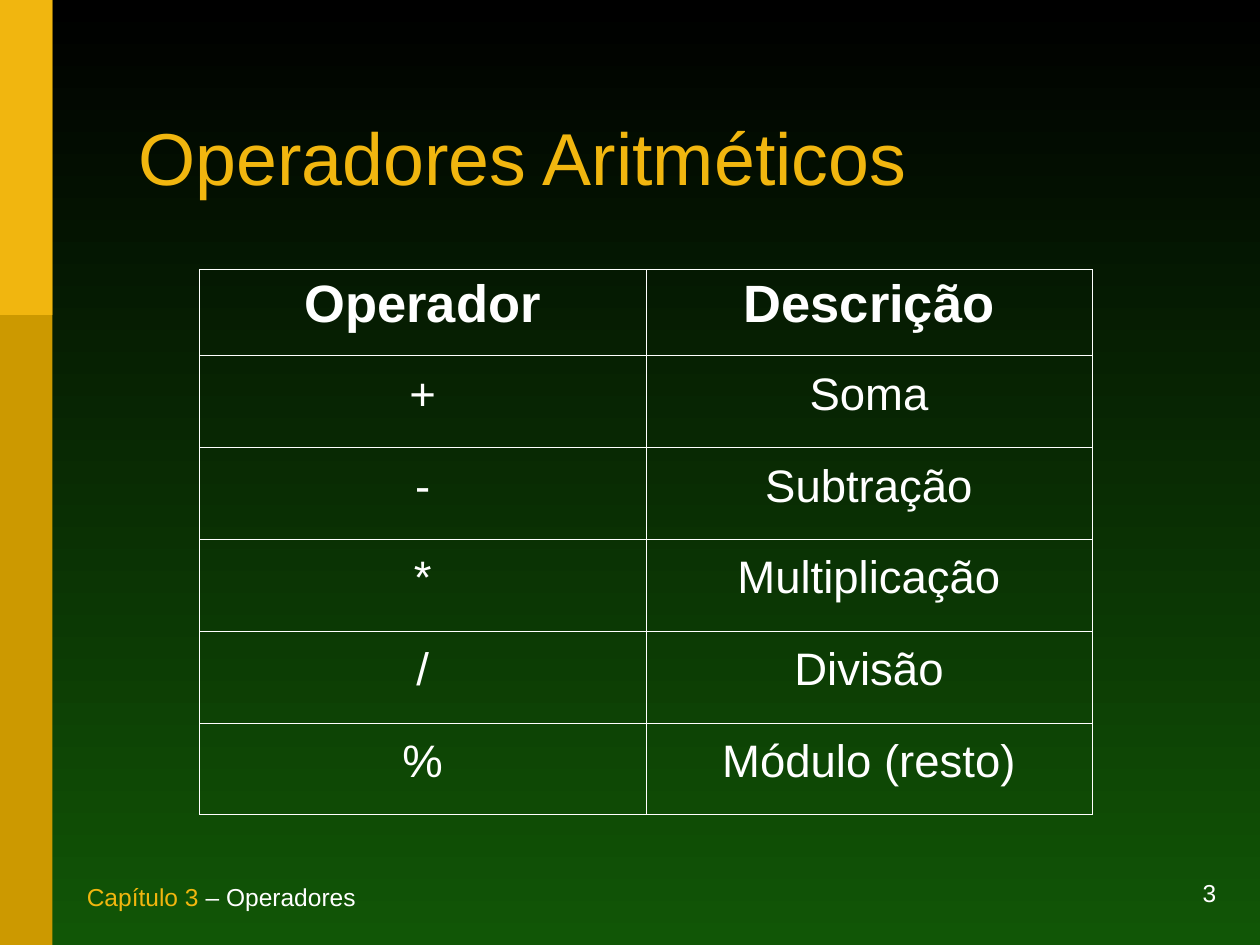
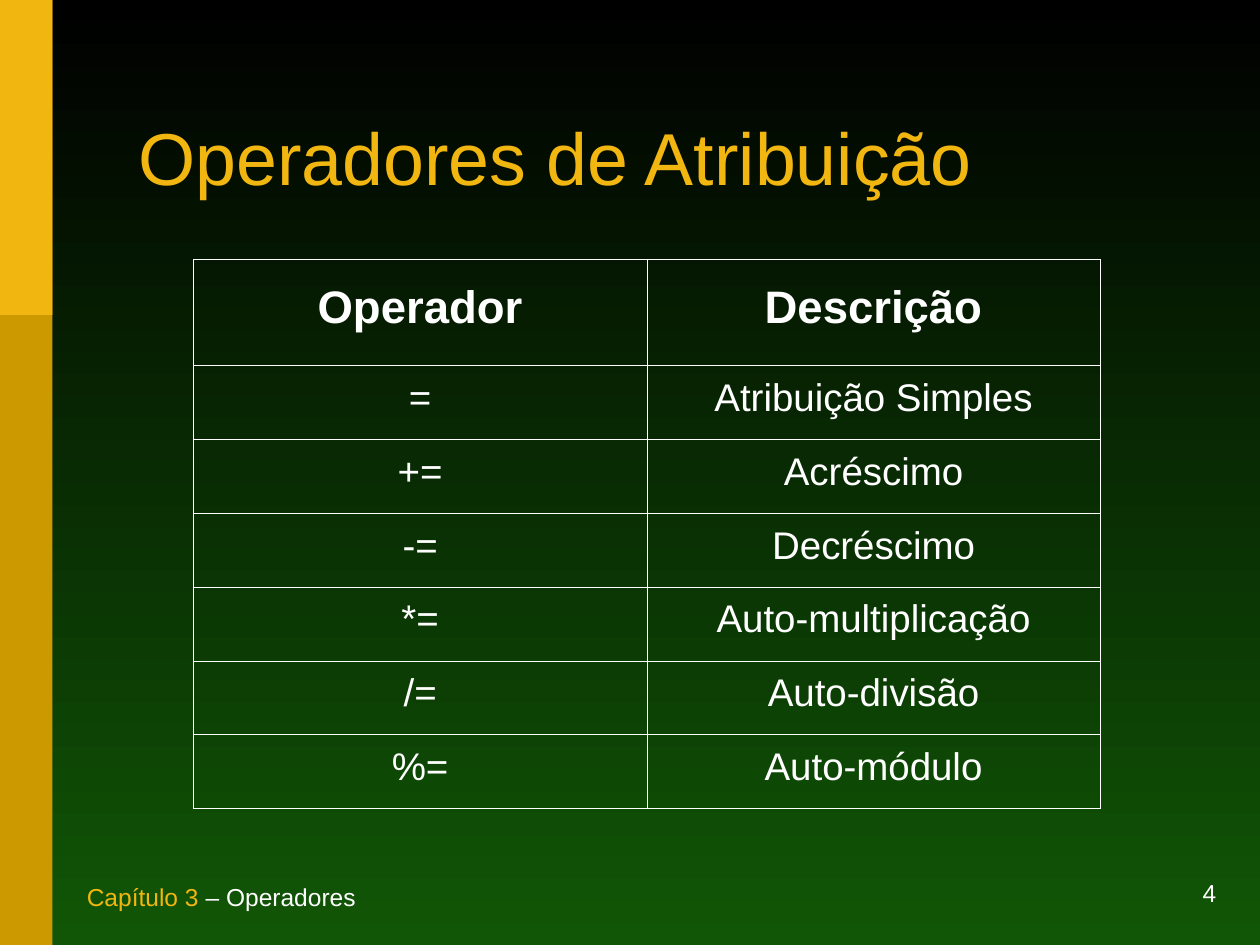
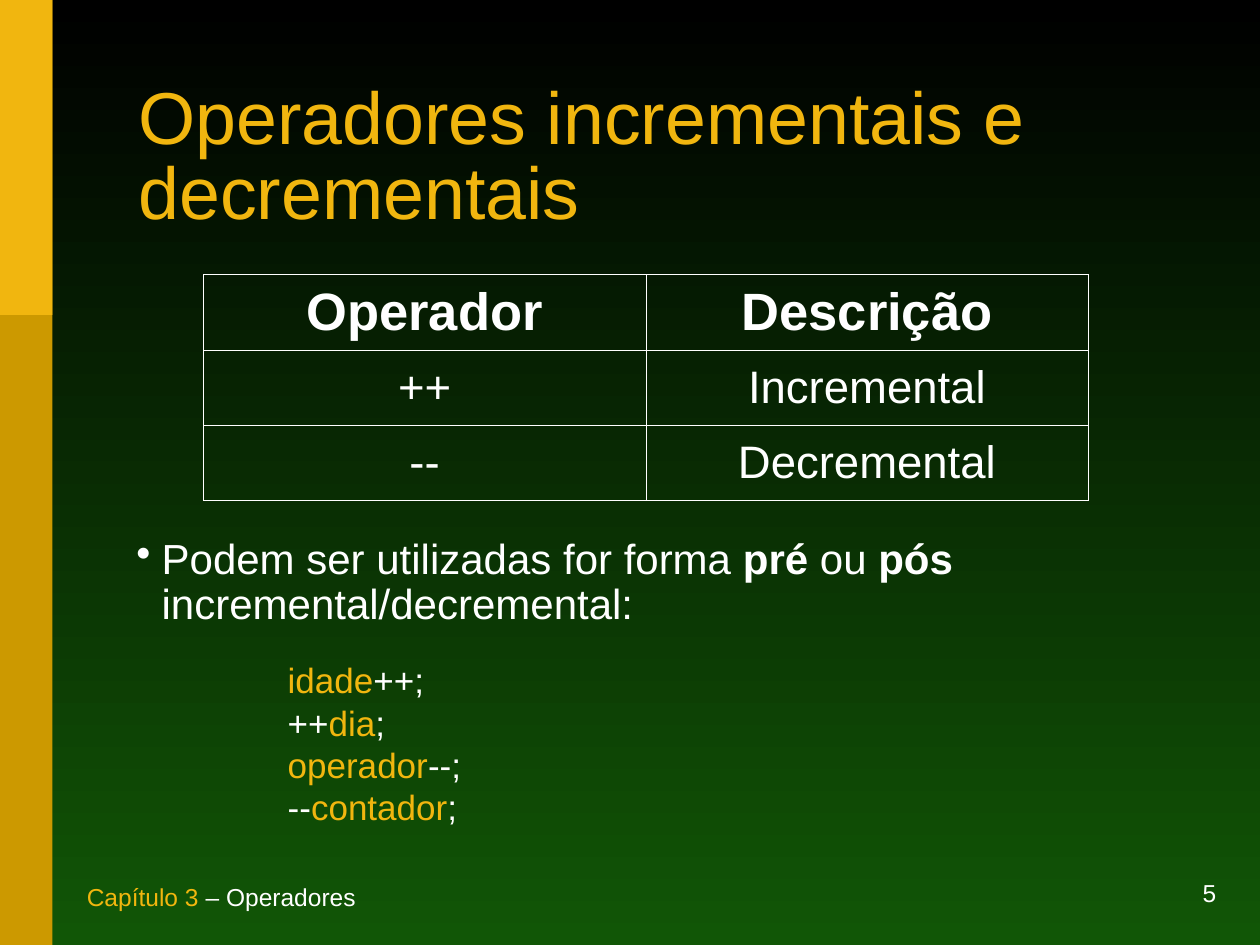
from dataclasses import dataclass
from typing import Any

from lxml import etree
from pptx import Presentation
from pptx import util as u
from pptx.dml import color
from pptx.enum import shapes, text
from pptx.oxml import ns

FONT = "Arial"
GOLD, DARK, WHITE = "F1B60F", "CC9900", "FFFFFF"
BLACK, GREEN = "000000", "115606"
WIDE, HIGH = 25.4, 19.05
BAND = 1.06
LEFT, RIGHT = text.PP_ALIGN.LEFT, text.PP_ALIGN.RIGHT
MID = text.PP_ALIGN.CENTER


@dataclass
class Run:
    text: str
    tint: str = WHITE
    bold: bool = False


@dataclass
class Para:
    runs: list[Run]
    size: float
    align: Any = LEFT
    line: float = 1.0
    above: float = 0
    indent: float = 0
    bullet: bool = False


@dataclass
class Box:
    left: float
    top: float
    width: float
    height: float

    def sides(self) -> list[u.Length]:
        return [u.Cm(n) for n in (self.left, self.top, self.width, self.height)]


@dataclass
class Grid:
    left: float
    top: float
    col: float
    head: float
    row: float
    sizes: tuple[int, int]
    line: float
    inset: float
    rows: list[tuple[str, str]]


@dataclass
class Page:
    title: str
    grid: Grid
    place: Box


TITLE = Box(2.54, 1.7, 20.96, 3.18)
FOOT = Box(1.5, 17.86, 11, 0.64)
NUMBER = Box(18.42, 17.78, 6.35, 0.64)
BODY = Box(2.5, 10.72, 20.92, 6.2)
HEAD = ("Operador", "Descrição")

PAGES = [
    Page("Operadores Aritméticos",
         Grid(4.02, 5.43, 9, 1.74, 1.85, (30, 26), 0.58, 0.1, [
             ("+", "Soma"), ("-", "Subtração"), ("*", "Multiplicação"),
             ("/", "Divisão"), ("%", "Módulo (resto)")]), TITLE),
    Page("Operadores de Atribuição",
         Grid(3.9, 5.23, 9.14, 2.13, 1.49, (26, 22), 0.71, 0.1, [
             ("=", "Atribuição Simples"), ("+=", "Acréscimo"),
             ("-=", "Decréscimo"), ("*=", "Auto-multiplicação"),
             ("/=", "Auto-divisão"), ("%=", "Auto-módulo")]), TITLE),
    Page("Operadores incrementais e decrementais",
         Grid(4.1, 5.53, 8.92, 1.46, 1.51, (30, 26), 1.0, 0.25, [
             ("++", "Incremental"), ("--", "Decremental")]),
         Box(2.54, 1.57, 20.88, 3.28)),
]

NOTE = [Run("Podem ser utilizadas for forma "), Run("pré", bold=True),
        Run(" ou "), Run("pós ", bold=True), Run("incremental/decremental:")]
CODE = [("", "idade", "++;"), ("++", "dia", ";"),
        ("", "operador", "--;"), ("--", "contador", ";")]


def rgb(tint: str) -> color.RGBColor:
    return color.RGBColor.from_string(tint)


def put(item: Any, **vals: Any) -> None:
    """Set each named value on the item."""
    for name, val in vals.items():
        setattr(item, name, val)


def mark(par: Any, indent: float, bullet: bool) -> None:
    """Give a paragraph its left indent and, if asked, a hanging bullet."""
    props = par._p.get_or_add_pPr()
    props.set("marL", str(u.Cm(indent)))
    props.set("indent", str(-u.Cm(indent) if bullet else 0))
    if bullet:
        etree.SubElement(props, ns.qn("a:buChar")).set("char", "•")


def write(frame: Any, paras: list[Para]) -> None:
    for i, para in enumerate(paras):
        par = frame.add_paragraph() if i else frame.paragraphs[0]
        if para.indent:
            mark(par, para.indent, para.bullet)
        put(par, alignment=para.align, line_spacing=para.line,
            space_before=u.Pt(para.above))
        for part in para.runs:
            run = par.add_run()
            run.text = part.text
            put(run.font, name=FONT, size=u.Pt(para.size), bold=part.bold)
            run.font.color.rgb = rgb(part.tint)


def label(slide: Any, box: Box, paras: list[Para], anchor: Any) -> None:
    frame = slide.shapes.add_textbox(*box.sides()).text_frame
    put(frame, word_wrap=True, vertical_anchor=anchor)
    write(frame, paras)


def band(slide: Any, height: float, tint: str) -> None:
    bar = slide.shapes.add_shape(shapes.MSO_SHAPE.RECTANGLE,
                                 *Box(0, 0, BAND, height).sides())
    bar.shadow.inherit = False
    bar.fill.solid()
    bar.fill.fore_color.rgb = rgb(tint)
    bar.line.fill.background()


def frame_cell(cell: Any) -> None:
    """Clear the fill and draw a thin white line on all four sides."""
    cell.fill.background()
    props = cell._tc.get_or_add_tcPr()
    for i, side in enumerate("LRTB"):
        line = etree.Element(ns.qn(f"a:ln{side}"), w=str(u.Pt(0.28)))
        fill = etree.SubElement(line, ns.qn("a:solidFill"))
        etree.SubElement(fill, ns.qn("a:srgbClr")).set("val", WHITE)
        props.insert(i, line)


def table(slide: Any, grid: Grid) -> None:
    rows = [HEAD, *grid.rows]
    box = Box(grid.left, grid.top, 2 * grid.col,
              grid.head + grid.row * len(grid.rows))
    tab = slide.shapes.add_table(len(rows), 2, *box.sides()).table
    put(tab, first_row=False, horz_banding=False)
    for col in tab.columns:
        col.width = u.Cm(grid.col)
    for i, row in enumerate(rows):
        tab.rows[i].height = u.Cm(grid.row if i else grid.head)
        for j, word in enumerate(row):
            cell = tab.cell(i, j)
            put(cell, vertical_anchor=text.MSO_ANCHOR.MIDDLE,
                margin_left=u.Cm(grid.inset), margin_right=u.Cm(grid.inset))
            write(cell.text_frame, [Para([Run(word, bold=i == 0)],
                                         grid.sizes[i > 0], MID, grid.line)])
            frame_cell(cell)


def base(slide: Any, number: int) -> None:
    """Draw the background, side bands and footer that all slides share."""
    fill = slide.background.fill
    fill.gradient()
    fill.gradient_angle = 270
    for stop, tint in zip(fill.gradient_stops, (BLACK, GREEN)):
        stop.color.rgb = rgb(tint)
    band(slide, HIGH, DARK)
    band(slide, HIGH / 3, GOLD)
    low = text.MSO_ANCHOR.BOTTOM
    label(slide, NUMBER, [Para([Run(str(number))], 14, RIGHT)], low)
    label(slide, FOOT, [Para([Run("Capítulo 3", GOLD),
                              Run(" – Operadores")], 14)], low)


def usage(slide: Any) -> None:
    """Write the note on prefix and postfix use, with its code lines."""
    paras = [Para(NOTE, 24, line=0.9, indent=0.51, bullet=True)]
    for i, (pre, name, post) in enumerate(CODE):
        runs = [Run(pre), Run(name, GOLD), Run(post)]
        paras.append(Para([run for run in runs if run.text], 20,
                          line=0.8 if i else 0.9, above=5 if i else 19.5,
                          indent=3.05))
    label(slide, BODY, paras, text.MSO_ANCHOR.TOP)


def main() -> None:
    deck = Presentation()
    put(deck, slide_width=u.Cm(WIDE), slide_height=u.Cm(HIGH))
    for number, page in enumerate(PAGES, 3):
        slide = deck.slides.add_slide(deck.slide_layouts[6])
        base(slide, number)
        label(slide, page.place, [Para([Run(page.title, GOLD)], 42, line=0.85)],
              text.MSO_ANCHOR.MIDDLE)
        table(slide, page.grid)
    usage(slide)
    deck.save("out.pptx")


if __name__ == "__main__":
    main()
